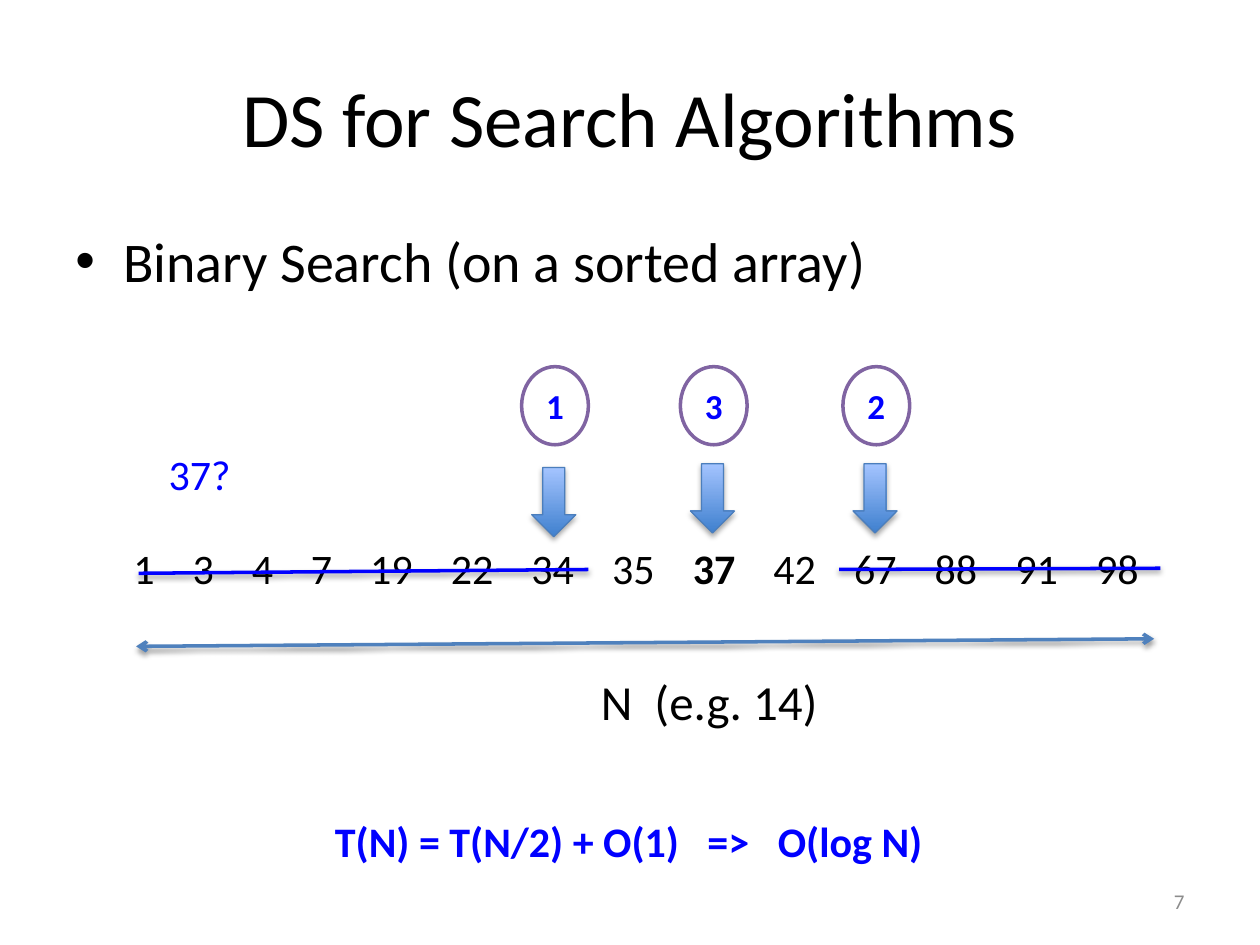
"""Build the binary search slide."""
from dataclasses import dataclass

from lxml import etree
from pptx import Presentation
from pptx import util as u
from pptx.dml.color import RGBColor
from pptx.enum import shapes, text
from pptx.oxml import ns


@dataclass(frozen=True)
class Theme:
    """Colours, font and type sizes of the slide."""
    font: str = "Calibri"
    ink: str = "000000"
    accent: str = "0000FF"
    muted: str = "8C8C8C"
    paper: str = "FFFFFF"
    ring: str = "8064A2"
    span: str = "4F81BD"
    arrow_edge: str = "4B7EBC"
    arrow_dark: str = "3F80CE"
    arrow_light: str = "A4C4FF"
    title: int = 44
    bullet: int = 32
    caption: int = 28
    body: int = 24
    step: int = 20
    footer: int = 12


THEME = Theme()
VALUES = (1, 3, 4, 7, 19, 22, 34, 35, 37, 42, 67, 88, 91, 98)
TARGET = 37
PITCH = {1: 0.47, 2: 0.64}


def colour(value):
    """Turn a hex string into a colour."""
    return RGBColor.from_string(value)


def box(left, top, width, height):
    """Convert a frame in inches to lengths."""
    return [u.Inches(value) for value in (left, top, width, height)]


def child(parent, tag, **attributes):
    """Append a drawing element with the given attributes."""
    values = {name: str(value) for name, value in attributes.items()}
    return etree.SubElement(parent, ns.qn(tag), values)


def write(paragraph, content, size=THEME.body, ink=THEME.ink, bold=False,
          align=text.PP_ALIGN.LEFT):
    """Add a formatted run to a paragraph."""
    paragraph.alignment = align
    run = paragraph.add_run()
    run.text = content
    run.font.name = THEME.font
    run.font.size = u.Pt(size)
    run.font.bold = bold
    run.font.color.rgb = colour(ink)


def add_text(slide, frame, content="", wrap=False,
             anchor=text.MSO_ANCHOR.TOP, **style):
    """Add a text box and return its paragraph."""
    text_frame = slide.shapes.add_textbox(*box(*frame)).text_frame
    text_frame.word_wrap = wrap
    text_frame.vertical_anchor = anchor
    paragraph = text_frame.paragraphs[0]
    if content:
        write(paragraph, content, **style)
    return paragraph


def add_title(slide, content):
    """Place and fill the title placeholder."""
    title = slide.shapes.title
    title.left, title.top, title.width, title.height = box(0.5, 0.3, 9, 1.25)
    title.text_frame.vertical_anchor = text.MSO_ANCHOR.MIDDLE
    write(title.text_frame.paragraphs[0], content, size=THEME.title,
          align=text.PP_ALIGN.CENTER)


def add_bullet(slide, frame, content):
    """Add a bulleted line with a hanging indent."""
    paragraph = add_text(slide, frame, content, wrap=True, size=THEME.bullet)
    paragraph.space_before = u.Pt(6.4)
    properties = paragraph._p.get_or_add_pPr()
    indent = u.Inches(0.38)
    properties.set("marL", str(indent))
    properties.set("indent", str(-indent))
    child(properties, "a:buFont", typeface="Arial")
    child(properties, "a:buChar", char="•")


def add_array(slide, frame):
    """Write the sorted values on tab stops, with the target in bold."""
    paragraph = add_text(slide, frame, wrap=True)
    tabs = child(paragraph._p.get_or_add_pPr(), "a:tabLst")
    position = 0
    for index, value in enumerate(VALUES):
        if index:
            child(tabs, "a:tab", pos=u.Inches(position), algn="l")
        write(paragraph, f"\t{value}" if index else str(value),
              bold=value == TARGET)
        position += PITCH[len(str(value))]


def add_shadow(shape, distance, opacity):
    """Give a shape or connector a soft shadow below it."""
    effects = child(shape._element.spPr, "a:effectLst")
    shadow = child(effects, "a:outerShdw", blurRad=u.Pt(3.1),
                   dist=u.Pt(distance), dir=90 * 60000, rotWithShape=0)
    black = child(shadow, "a:srgbClr", val=THEME.ink)
    child(black, "a:alpha", val=opacity * 1000)


def add_line(slide, start, end, ink, arrows=False):
    """Draw a straight line, with open arrowheads if wanted."""
    line = slide.shapes.add_connector(
        shapes.MSO_CONNECTOR.STRAIGHT, *box(*start, *end))
    line.line.color.rgb = colour(ink)
    line.line.width = u.Pt(2)
    if arrows:
        for tag in ("a:headEnd", "a:tailEnd"):
            child(line.line._get_or_add_ln(), tag, type="arrow")
    add_shadow(line, 1.6, 38)


def add_arrow(slide, frame):
    """Add a shaded arrow pointing down at a value."""
    arrow = slide.shapes.add_shape(shapes.MSO_SHAPE.DOWN_ARROW, *box(*frame))
    arrow.fill.gradient()
    arrow.fill.gradient_angle = 90
    stops = arrow.fill.gradient_stops
    for stop, position, ink in zip(
            stops, (0, 1), (THEME.arrow_dark, THEME.arrow_light)):
        stop.position = position
        stop.color.rgb = colour(ink)
    arrow.line.color.rgb = colour(THEME.arrow_edge)
    arrow.line.width = u.Pt(0.75)
    add_shadow(arrow, 1.8, 35)


def add_step(slide, number, left, arrow_top):
    """Add a circled step number above its arrow."""
    ring = slide.shapes.add_shape(
        shapes.MSO_SHAPE.OVAL, *box(left, 2.91, 0.53, 0.62))
    ring.shadow.inherit = False
    ring.fill.solid()
    ring.fill.fore_color.rgb = colour(THEME.paper)
    ring.line.color.rgb = colour(THEME.ring)
    ring.line.width = u.Pt(2)
    ring.text_frame.vertical_anchor = text.MSO_ANCHOR.MIDDLE
    write(ring.text_frame.paragraphs[0], number, size=THEME.step,
          ink=THEME.accent, bold=True, align=text.PP_ALIGN.CENTER)
    add_arrow(slide, (left + 0.08, arrow_top, 0.35, 0.55))


def main():
    """Build and save the slide."""
    presentation = Presentation()
    presentation.slide_width = u.Inches(10)
    presentation.slide_height = u.Inches(7.5)
    slide = presentation.slides.add_slide(presentation.slide_layouts[5])
    add_title(slide, "DS for Search Algorithms")
    add_bullet(slide, (0.5, 1.75, 9, 0.65), "Binary Search (on a sorted array)")
    add_text(slide, (7.17, 6.95, 2.33, 0.4), "7", wrap=True,
             anchor=text.MSO_ANCHOR.MIDDLE, size=THEME.footer,
             ink=THEME.muted, align=text.PP_ALIGN.RIGHT)
    add_array(slide, (0.96, 4.26, 8.25, 0.5))
    add_line(slide, (1.08, 5.13), (9.16, 5.07), THEME.span, arrows=True)
    add_text(slide, (4.67, 5.28, 2.17, 0.57), "N  (e.g. 14)",
             size=THEME.caption)
    add_text(slide, (1.24, 3.51, 0.78, 0.5), "37?", ink=THEME.accent)
    add_line(slide, (1.1, 4.55), (4.67, 4.52), THEME.accent)
    add_line(slide, (6.66, 4.52), (9.21, 4.51), THEME.accent)
    for number, left, arrow_top in (
            ("1", 4.14, 3.71), ("2", 6.69, 3.68), ("3", 5.4, 3.68)):
        add_step(slide, number, left, arrow_top)
    add_text(slide, (2.56, 6.42, 4.91, 0.5),
             "T(N) = T(N/2) + O(1)   =>   O(log N)",
             ink=THEME.accent, bold=True)
    presentation.save("out.pptx")


if __name__ == "__main__":
    main()
